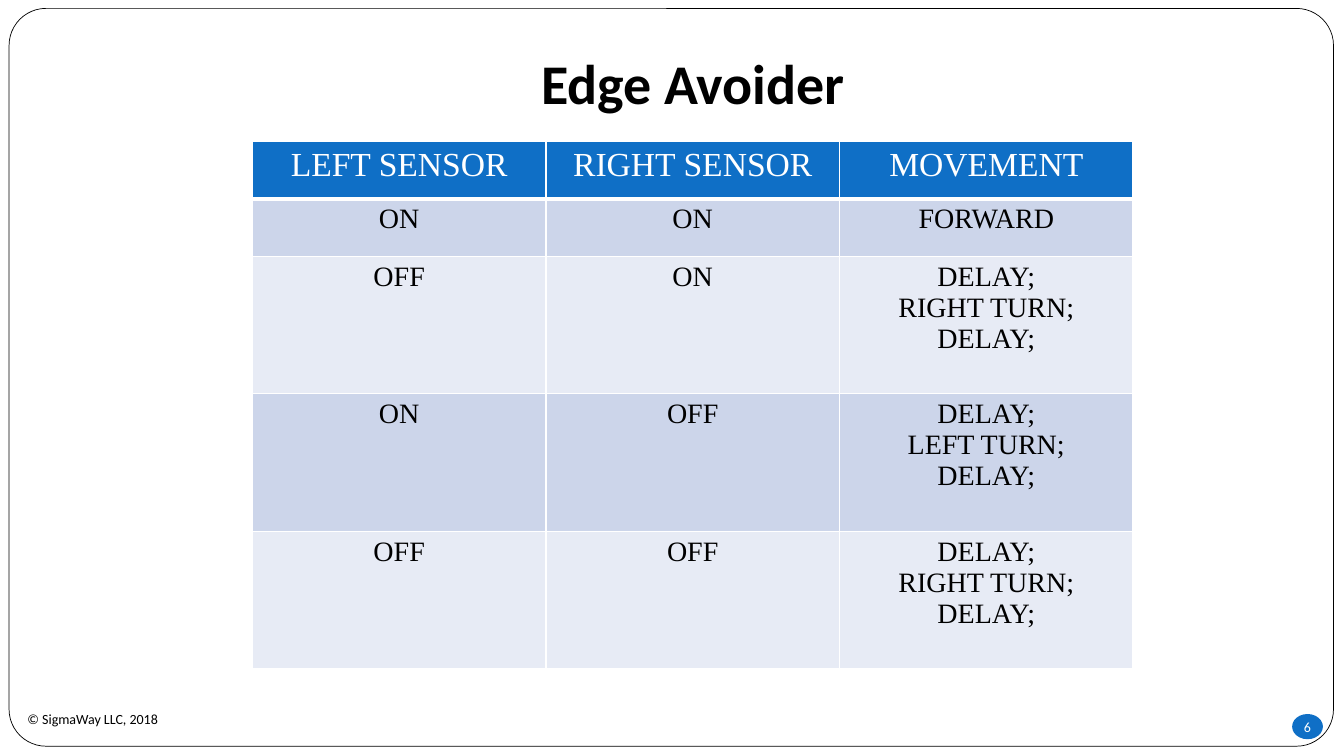
"""Builds the Edge Avoider slide with its sensor and movement table."""
from dataclasses import dataclass

from lxml import etree
from pptx import Presentation
from pptx.dml.color import RGBColor
from pptx.enum.shapes import MSO_SHAPE
from pptx.enum.text import MSO_ANCHOR, MSO_AUTO_SIZE, PP_ALIGN
from pptx.oxml.ns import qn
from pptx.util import Pt

ROUND_RECT, OVAL = MSO_SHAPE.ROUNDED_RECTANGLE, MSO_SHAPE.OVAL
TOP, MIDDLE, BOTTOM = MSO_ANCHOR.TOP, MSO_ANCHOR.MIDDLE, MSO_ANCHOR.BOTTOM
LEFT, CENTER = PP_ALIGN.LEFT, PP_ALIGN.CENTER
NO_AUTOFIT = MSO_AUTO_SIZE.NONE


@dataclass(frozen=True)
class Theme:
    """Colours, fonts and type sizes of the slide."""
    white: str = "FFFFFF"
    black: str = "000000"
    blue: str = "0F6FC6"
    bands: tuple = ("CCD5EA", "E7EBF5")
    sans: str = "Calibri"
    serif: str = "Times New Roman"
    title: int = 40
    header: int = 24
    body: int = 20
    small: int = 10


class SlideBuilder:
    """Holds the theme and the current slide, and adds elements to it."""

    def __init__(self, slide, theme):
        """Keep the slide and the theme."""
        self.s = slide
        self.t = theme

    def set_text(self, tf, text, size, color, font, align=CENTER, bold=False):
        """Fill a text frame, one paragraph for each line."""
        tf.text = text
        for p in tf.paragraphs:
            p.alignment = align
            p.font.name = font
            p.font.size = Pt(size)
            p.font.bold = bold
            p.font.color.rgb = RGBColor.from_string(color)

    def shape(self, kind, x, y, w, h, fill, line=None):
        """Add a filled preset shape with an optional thin line."""
        sp = self.s.shapes.add_shape(kind, Pt(x), Pt(y), Pt(w), Pt(h))
        sp.shadow.inherit = False
        sp.fill.solid()
        sp.fill.fore_color.rgb = RGBColor.from_string(fill)
        if line:
            sp.line.color.rgb = RGBColor.from_string(line)
            sp.line.width = Pt(0.5)
        else:
            sp.line.fill.background()
        return sp

    def frame(self, x, y, w, h):
        """Add the rounded border of the slide."""
        sp = self.shape(ROUND_RECT, x, y, w, h, self.t.white, self.t.black)
        sp.adjustments[0] = 0.05

    def page_number(self, x, y, w, h, text):
        """Add the page number in an oval."""
        tf = self.shape(OVAL, x, y, w, h, self.t.blue).text_frame
        tf.margin_left = tf.margin_right = tf.margin_top = tf.margin_bottom = 0
        tf.word_wrap = False
        tf.vertical_anchor = MIDDLE
        self.set_text(tf, text, self.t.small, self.t.white, self.t.sans)

    def footer(self, x, y, w, h, text):
        """Add the copyright line."""
        tf = self.s.shapes.add_textbox(Pt(x), Pt(y), Pt(w), Pt(h)).text_frame
        tf.word_wrap = True
        self.set_text(tf, text, self.t.small, self.t.black, self.t.sans, LEFT)

    def title(self, x, y, w, h, text):
        """Place the title placeholder in front of the frame."""
        sp = self.s.shapes.title
        sp.left, sp.top, sp.width, sp.height = Pt(x), Pt(y), Pt(w), Pt(h)
        sp.element.getparent().append(sp.element)
        tf = sp.text_frame
        tf.auto_size = NO_AUTOFIT
        tf.word_wrap = True
        tf.vertical_anchor = BOTTOM
        tf.margin_bottom = Pt(7.2)
        self.set_text(tf, text, self.t.title, self.t.black, self.t.sans, bold=True)

    def borders(self, cell, bottom):
        """Draw white cell borders, with a given width at the bottom."""
        tc_pr = cell._tc.get_or_add_tcPr()
        widths = (("a:lnL", 1), ("a:lnR", 1), ("a:lnT", 1), ("a:lnB", bottom))
        for i, (tag, width) in enumerate(widths):
            ln = etree.Element(qn(tag), w=str(Pt(width)))
            fill = etree.SubElement(ln, qn("a:solidFill"))
            etree.SubElement(fill, qn("a:srgbClr"), val=self.t.white)
            tc_pr.insert(i, ln)

    def table(self, x, y, col_width, heights, rows):
        """Add a table with a header row and banded body rows."""
        n = len(rows[0])
        tbl = self.s.shapes.add_table(len(rows), n, Pt(x), Pt(y),
                                      Pt(col_width * n), Pt(sum(heights))).table
        for col in tbl.columns:
            col.width = Pt(col_width)
        for i, (height, texts) in enumerate(zip(heights, rows)):
            tbl.rows[i].height = Pt(height)
            if i == 0:
                fill, color, size, bottom = self.t.blue, self.t.white, self.t.header, 3
            else:
                fill, color, size, bottom = self.t.bands[(i - 1) % 2], self.t.black, self.t.body, 1
            for j, text in enumerate(texts):
                cell = tbl.cell(i, j)
                cell.fill.solid()
                cell.fill.fore_color.rgb = RGBColor.from_string(fill)
                cell.vertical_anchor = TOP
                self.set_text(cell.text_frame, text, size, color, self.t.serif)
                self.borders(cell, bottom)


def main():
    """Build and save the slide."""
    prs = Presentation()
    prs.slide_width, prs.slide_height = Pt(960), Pt(540)
    b = SlideBuilder(prs.slides.add_slide(prs.slide_layouts[5]), Theme())
    b.frame(6.5, 6, 946, 527)
    b.page_number(923, 510, 22, 18, "6")
    b.footer(12.5, 504, 416, 36, "© SigmaWay LLC, 2018")
    b.title(375.8, 45.4, 238.3, 44.6, "Edge Avoider")
    b.table(180.3, 101, 209.7, [41, 41, 98.2, 98.2, 98.2], [
        ("LEFT SENSOR", "RIGHT SENSOR", "MOVEMENT"),
        ("ON", "ON", "FORWARD"),
        ("OFF", "ON", "DELAY;\nRIGHT TURN;\nDELAY;"),
        ("ON", "OFF", "DELAY;\nLEFT TURN;\nDELAY;"),
        ("OFF", "OFF", "DELAY;\nRIGHT TURN;\nDELAY;"),
    ])
    prs.save("out.pptx")


if __name__ == "__main__":
    main()
